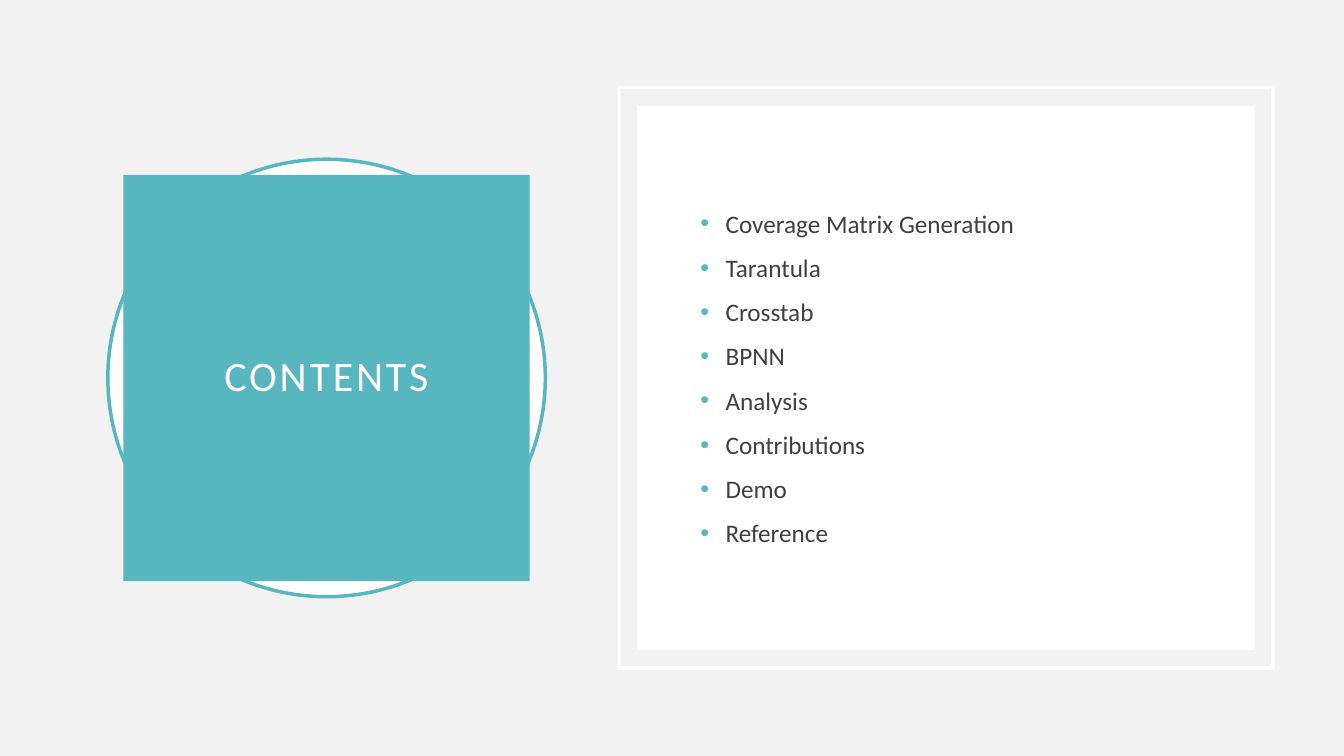
"""Build the contents slide: a title badge beside a framed agenda list."""
from dataclasses import dataclass

from lxml import etree
from pptx import Presentation
from pptx.dml.color import RGBColor
from pptx.enum import shapes, text
from pptx.oxml import ns
from pptx.util import Pt

TEAL, WHITE, GREY, INK = "58B6C0", "FFFFFF", "F2F2F2", "404040"
FONT = "Calibri"
MIDDLE = 270
TOPICS = [
    "Coverage Matrix Generation", "Tarantula", "Crosstab", "BPNN",
    "Analysis", "Contributions", "Demo", "Reference",
]


@dataclass
class Panel:
    """A shape centred on the slide's horizontal midline, in points."""
    kind: shapes.MSO_SHAPE
    center: float
    width: float
    height: float
    fill: str | None = None
    line: str | None = None


RING = Panel(shapes.MSO_SHAPE.OVAL, 233.28, 312.48, 312.48, WHITE, TEAL)
BADGE = Panel(shapes.MSO_SHAPE.RECTANGLE, 233.28, 290.16, 290.16, TEAL)
FRAME = Panel(shapes.MSO_SHAPE.RECTANGLE, 675.72, 467.28, 414.72, None, WHITE)
CARD = Panel(shapes.MSO_SHAPE.RECTANGLE, 675.72, 441.36, 388.8, WHITE)


def color(value: str) -> RGBColor:
    """Turn a hex string into a colour."""
    return RGBColor.from_string(value)


def draw_panel(slide, panel: Panel):
    """Add a panel and return its shape."""
    shape = slide.shapes.add_shape(
        panel.kind, Pt(panel.center - panel.width / 2),
        Pt(MIDDLE - panel.height / 2), Pt(panel.width), Pt(panel.height))
    shape.shadow.inherit = False
    if panel.fill:
        shape.fill.solid()
        shape.fill.fore_color.rgb = color(panel.fill)
    else:
        shape.fill.background()
    if panel.line:
        shape.line.color.rgb = color(panel.line)
        shape.line.width = Pt(2.5)
    else:
        shape.line.fill.background()
    return shape


def style_run(run, size: float, ink: str) -> None:
    """Set the font, size and colour of a run."""
    run.font.name = FONT
    run.font.size = Pt(size)
    run.font.color.rgb = color(ink)


def write_title(badge, title: str) -> None:
    """Write the letter-spaced title in the middle of the badge."""
    frame = badge.text_frame
    frame.text = title
    frame.word_wrap = True
    frame.vertical_anchor = text.MSO_ANCHOR.MIDDLE
    frame.margin_left = frame.margin_right = Pt(14.4)
    frame.margin_top = frame.margin_bottom = Pt(14.4)
    heading = frame.paragraphs[0]
    heading.alignment = text.PP_ALIGN.CENTER
    heading.line_spacing = 0.9
    style_run(heading.runs[0], 30, WHITE)
    heading.runs[0].font._element.set("spc", "200")


def add_bullet(paragraph) -> None:
    """Give a paragraph a teal bullet with a hanging indent."""
    properties = paragraph._p.get_or_add_pPr()
    properties.set("marL", str(Pt(18)))
    properties.set("indent", str(-Pt(18)))
    tint = etree.SubElement(properties, ns.qn("a:buClr"))
    etree.SubElement(tint, ns.qn("a:srgbClr"), val=TEAL)
    etree.SubElement(properties, ns.qn("a:buFont"), typeface="Arial")
    etree.SubElement(properties, ns.qn("a:buChar"), char="•")


def write_agenda(slide, topics: list[str]) -> None:
    """Add the bulleted list of topics."""
    agenda = slide.shapes.add_textbox(
        Pt(493.2), Pt(113.76), Pt(366.48), Pt(312.48)).text_frame
    agenda.word_wrap = True
    agenda.vertical_anchor = text.MSO_ANCHOR.MIDDLE
    agenda.text = "\n".join(topics)
    for topic in agenda.paragraphs:
        topic.space_before = Pt(10)
        add_bullet(topic)
        style_run(topic.runs[0], 18, INK)


def main() -> None:
    """Create and save the presentation."""
    deck = Presentation()
    deck.slide_width, deck.slide_height = Pt(960), Pt(540)
    slide = deck.slides.add_slide(deck.slide_layouts[6])
    slide.background.fill.solid()
    slide.background.fill.fore_color.rgb = color(GREY)
    draw_panel(slide, RING)
    write_title(draw_panel(slide, BADGE), "CONTENTS")
    for panel in (FRAME, CARD):
        draw_panel(slide, panel)
    write_agenda(slide, TOPICS)
    deck.save("out.pptx")


if __name__ == "__main__":
    main()
